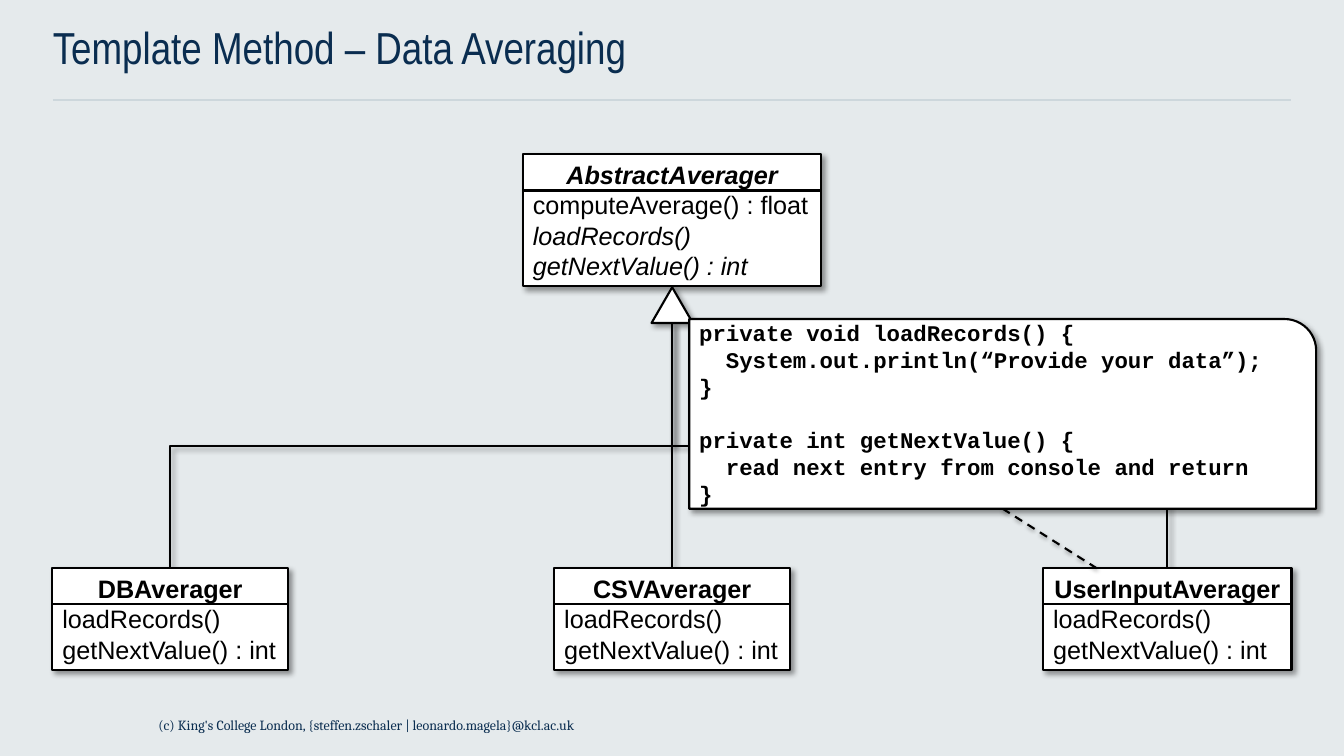
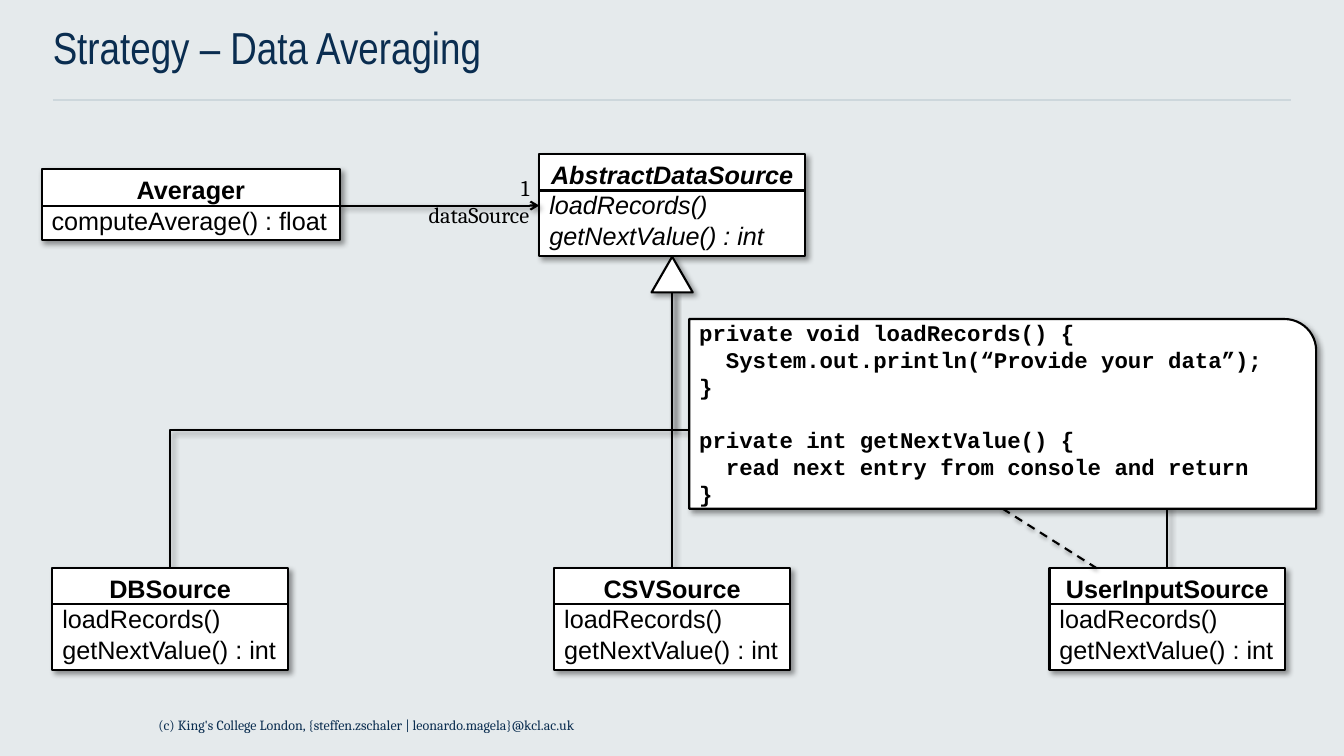
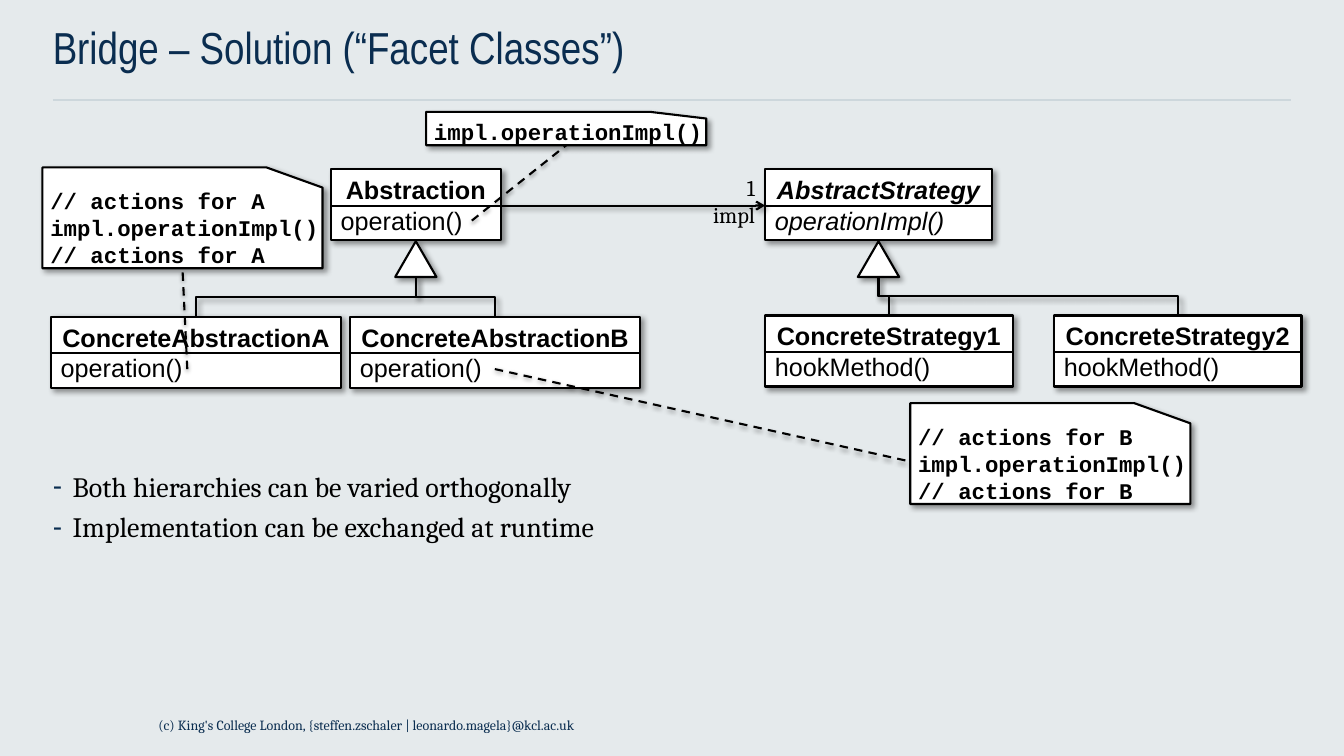
from copy import deepcopy
from dataclasses import dataclass

from lxml.etree import SubElement
from pptx import Presentation
from pptx.dml.color import RGBColor
from pptx.enum.dml import MSO_LINE
from pptx.enum.shapes import MSO_CONNECTOR, MSO_SHAPE, PP_PLACEHOLDER
from pptx.enum.text import MSO_ANCHOR, MSO_AUTO_SIZE, PP_ALIGN
from pptx.oxml.ns import qn
from pptx.util import Cm, Pt


@dataclass(frozen=True)
class Theme:
    background: str = "E5EAEC"
    rule: str = "CDD7DC"
    navy: str = "0A2D50"
    ink: str = "000000"
    paper: str = "FFFFFF"
    title_font: str = "Arial Narrow"
    body_font: str = "Cambria"
    class_font: str = "Arial"
    code_font: str = "Courier New"
    title_size: int = 32
    body_size: int = 20
    class_size: int = 18
    code_size: int = 16
    footer_size: int = 10
    outline: float = 1.5
    body_spacing: float = 1.2


@dataclass(frozen=True)
class Shadow:
    """Lengths in points, opacity in percent, direction in degrees."""
    opacity: int
    blur: float
    distance: float
    direction: int


THEME = Theme()
BOX_SHADOW = Shadow(40, 4, 3, 45)
NOTE_LINK_SHADOW = Shadow(38, 3.1, 1.6, 90)

# Diagram measures in centimetres
ROW_HEIGHT = 0.77
BOX_PADDING = 0.25
NAME_HEIGHT = 0.91
ARROW_WIDTH, ARROW_HEIGHT = 1.04, 0.9
SLIDE_CENTER = 16.94
BASE_TOP = 3.89
PEER_TOP = 4.27
SUBCLASS_TOP = 14.32
SUBCLASS_WIDTH = 5.94
SUBCLASS_CENTERS = (4.29, SLIDE_CENTER, 29.42)
CARD_WIDTH = 7.06

FOOTER = "(c) King's College London, {steffen.zschaler | leonardo.magela}@kcl.ac.uk"
HOOKS = ["loadRecords()", "getNextValue() : int"]
AVERAGE = "computeAverage() : float"
USER_INPUT_CODE = """private void loadRecords() {
  System.out.println(“Provide your data”);
}
private int getNextValue() {
  read next entry from console and return
}"""


def rgb(value):
    return RGBColor.from_string(value)


def place(shape, left, top, width, height):
    shape.left, shape.top = Cm(left), Cm(top)
    shape.width, shape.height = Cm(width), Cm(height)


def format_text(text_frame, font, size, color=THEME.ink, bold=False,
                align=PP_ALIGN.LEFT, spacing=1.0):
    for paragraph in text_frame.paragraphs:
        paragraph.alignment = align
        paragraph.line_spacing = spacing
        paragraph.space_before = Pt(0)
        for run in paragraph.runs:
            run.font.name = font
            run.font.size = Pt(size)
            run.font.bold = bold
            run.font.color.rgb = rgb(color)


def set_frame(text_frame, insets=(0, 0, 0, 0), wrap=True, auto_size=MSO_AUTO_SIZE.NONE):
    text_frame.margin_left, text_frame.margin_top = Cm(insets[0]), Cm(insets[1])
    text_frame.margin_right, text_frame.margin_bottom = Cm(insets[2]), Cm(insets[3])
    text_frame.vertical_anchor = MSO_ANCHOR.TOP
    text_frame.word_wrap = wrap
    text_frame.auto_size = auto_size


def set_shadow(shape, shadow=None):
    """Replace the theme's effects with the given shadow, or with none."""
    effects = SubElement(shape.element.spPr, qn("a:effectLst"))
    if shadow:
        outer = SubElement(effects, qn("a:outerShdw"), {
            "blurRad": str(Pt(shadow.blur)), "dist": str(Pt(shadow.distance)),
            "dir": str(shadow.direction * 60000), "algn": "tl", "rotWithShape": "0"})
        color = SubElement(outer, qn("a:srgbClr"), val=THEME.ink)
        SubElement(color, qn("a:alpha"), val=str(shadow.opacity * 1000))


def add_line(shapes, start, end, color=THEME.ink, width=THEME.outline, shadow=None,
             dashed=False, arrow=False, kind=MSO_CONNECTOR.STRAIGHT):
    line = shapes.add_connector(kind, *(Cm(value) for value in (*start, *end)))
    line.line.color.rgb = rgb(color)
    line.line.width = Pt(width)
    if dashed:
        line.line.dash_style = MSO_LINE.DASH
    if arrow:
        SubElement(line.element.spPr.find(qn("a:ln")), qn("a:tailEnd"), type="arrow")
    set_shadow(line, shadow)
    return line


def add_vertical_elbow(shapes, start, end):
    """Connect two points by going down, across and down again."""
    drop, reach = end[1] - start[1], end[0] - start[0]
    if reach == 0:
        add_line(shapes, start, end, shadow=BOX_SHADOW)
        return
    left = (start[0] + end[0] - drop) / 2
    top = (start[1] + end[1] - abs(reach)) / 2
    elbow = add_line(shapes, (left, top), (left + drop, top + abs(reach)),
                     shadow=BOX_SHADOW, kind=MSO_CONNECTOR.ELBOW)
    transform = elbow.element.spPr.find(qn("a:xfrm"))
    transform.set("rot", str((90 if reach < 0 else 270) * 60000))
    if reach > 0:
        transform.set("flipH", "1")


def add_paper_shape(shapes, kind, left, top, width, height):
    shape = shapes.add_shape(kind, Cm(left), Cm(top), Cm(width), Cm(height))
    shape.fill.solid()
    shape.fill.fore_color.rgb = rgb(THEME.paper)
    shape.line.color.rgb = rgb(THEME.ink)
    shape.line.width = Pt(THEME.outline)
    set_shadow(shape, BOX_SHADOW)
    return shape


def box_bottom(top, method_count):
    return top + BOX_PADDING + ROW_HEIGHT * (1 + method_count)


def add_class(slide, name, methods, center, top, width, abstract=False, concrete=()):
    """Draw a class; an abstract one is italic except for its concrete methods."""
    shapes = slide.shapes.add_group_shape().shapes
    left = center - width / 2
    height = box_bottom(top, len(methods)) - top
    box = add_paper_shape(shapes, MSO_SHAPE.RECTANGLE, left, top, width, height)
    text_frame = box.text_frame
    text_frame.text = "\n".join([name, *methods])
    set_frame(text_frame, (0.25, 0.13, 0.25, 0.13), False, MSO_AUTO_SIZE.SHAPE_TO_FIT_TEXT)
    format_text(text_frame, THEME.class_font, THEME.class_size)
    text_frame.paragraphs[0].alignment = PP_ALIGN.CENTER
    text_frame.paragraphs[0].runs[0].font.bold = True
    for paragraph in text_frame.paragraphs:
        paragraph.runs[0].font.italic = abstract and paragraph.text not in concrete
    divider = top + NAME_HEIGHT
    add_line(shapes, (left, divider), (left + width, divider))


def add_inheritance(slide, center, parent_bottom, child_centers, child_top):
    add_paper_shape(slide.shapes, MSO_SHAPE.ISOSCELES_TRIANGLE, center - ARROW_WIDTH / 2,
                    parent_bottom + 0.02, ARROW_WIDTH, ARROW_HEIGHT)
    start = (center, parent_bottom + 0.02 + ARROW_HEIGHT)
    for child_center in child_centers:
        add_vertical_elbow(slide.shapes, start, (child_center, child_top))


def add_association(slide, left, right, role):
    y = PEER_TOP + NAME_HEIGHT
    add_line(slide.shapes, (left, y), (right, y), shadow=BOX_SHADOW, arrow=True)
    label = slide.shapes.add_textbox(Cm(right - 3.36), Cm(y - 0.91), Cm(3.36), Cm(1.63))
    label.text_frame.text = f"1\n{role}"
    set_frame(label.text_frame, (0.25, 0.13, 0.25, 0.13))
    format_text(label.text_frame, THEME.body_font, THEME.code_size, align=PP_ALIGN.RIGHT)


def add_note_link(slide, start, end):
    add_line(slide.shapes, start, end, shadow=NOTE_LINK_SHADOW, dashed=True)


def fill_code(note, code, insets, wrap):
    note.text_frame.text = code
    set_frame(note.text_frame, insets, wrap)
    format_text(note.text_frame, THEME.code_font, THEME.code_size, bold=True)


def add_code_card(slide, code, left, top, height):
    card = add_paper_shape(slide.shapes, MSO_SHAPE.FLOWCHART_CARD,
                           left, top, CARD_WIDTH, height)
    card.element.spPr.find(qn("a:xfrm")).set("flipH", "1")
    fill_code(card, code, (0.2, 0, 0, 0), False)


def add_user_input_note(slide):
    add_note_link(slide, (27.64, SUBCLASS_TOP), (25.27, 12.82))
    note = add_paper_shape(slide.shapes, MSO_SHAPE.ROUND_1_RECTANGLE, 17.37, 8.04, 15.8, 4.78)
    fill_code(note, USER_INPUT_CODE, (0.25, 0, 0.25, 0), True)
    note.text_frame.paragraphs[3].space_before = Pt(19)


def add_footer(slide):
    source = next(shape for shape in slide.slide_layout.placeholders
                  if shape.placeholder_format.type == PP_PLACEHOLDER.FOOTER)
    slide.shapes.element.append(deepcopy(source.element))
    footer = slide.placeholders[source.placeholder_format.idx]
    place(footer, 3.99, 18.06, 25.86, 0.99)
    footer.text_frame.text = FOOTER
    set_frame(footer.text_frame)
    format_text(footer.text_frame, THEME.body_font, THEME.footer_size, THEME.navy)


def add_slide(presentation, title, layout_name="Title Only"):
    layout = presentation.slide_layouts.get_by_name(layout_name)
    slide = presentation.slides.add_slide(layout)
    heading = slide.shapes.title
    place(heading, 1.33, 0.49, 31.2, 2)
    heading.text_frame.text = title
    set_frame(heading.text_frame)
    format_text(heading.text_frame, THEME.title_font, THEME.title_size, THEME.navy)
    add_footer(slide)
    return slide


def style_master(presentation, slide):
    """Set the background and move the title rule from the slide to the master."""
    master = presentation.slide_master
    master.background.fill.solid()
    master.background.fill.fore_color.rgb = rgb(THEME.background)
    rule = add_line(slide.shapes, (1.33, 2.52), (32.54, 2.52), THEME.rule, 1)
    master.shapes.element.append(rule.element)


def fill_bullets(body, items):
    place(body, 1.33, 11.66, 31.2, 4.85)
    body.text_frame.text = "\n".join(items)
    set_frame(body.text_frame)
    for paragraph in body.text_frame.paragraphs:
        paragraph.level = 1
    for properties in body.element.iter(qn("a:pPr")):
        properties.set("marL", str(Cm(0.5)))
        properties.set("indent", str(Cm(-0.5)))
        color = SubElement(properties, qn("a:buClr"))
        SubElement(color, qn("a:srgbClr"), val=THEME.navy)
        SubElement(properties, qn("a:buChar"), char="-")
    format_text(body.text_frame, THEME.body_font, THEME.body_size,
                spacing=THEME.body_spacing)


def add_averaging_hierarchy(slide, base, methods, base_width, kind, user_input_width):
    add_class(slide, base, methods, SLIDE_CENTER, BASE_TOP, base_width,
              abstract=True, concrete=(AVERAGE,))
    add_inheritance(slide, SLIDE_CENTER, box_bottom(BASE_TOP, len(methods)),
                    SUBCLASS_CENTERS, SUBCLASS_TOP)
    widths = (SUBCLASS_WIDTH, SUBCLASS_WIDTH, user_input_width)
    for origin, center, width in zip(("DB", "CSV", "UserInput"), SUBCLASS_CENTERS, widths):
        add_class(slide, origin + kind, HOOKS, center, SUBCLASS_TOP, width)


def build_template_method(presentation):
    slide = add_slide(presentation, "Template Method – Data Averaging")
    style_master(presentation, slide)
    add_averaging_hierarchy(slide, "AbstractAverager", [AVERAGE, *HOOKS], 7.52,
                            "Averager", 6.26)
    add_user_input_note(slide)


def build_strategy(presentation):
    slide = add_slide(presentation, "Strategy – Data Averaging")
    add_averaging_hierarchy(slide, "AbstractDataSource", HOOKS, 6.69,
                            "Source", SUBCLASS_WIDTH)
    add_class(slide, "Averager", [AVERAGE], 4.81, PEER_TOP, 7.52)
    add_association(slide, 8.57, 13.59, "dataSource")
    add_user_input_note(slide)


def build_bridge(presentation):
    slide = add_slide(presentation, "Bridge – Solution (“Facet Classes”)", "Title and Content")
    fill_bullets(slide.placeholders[1], ["Both hierarchies can be varied orthogonally",
                                         "Implementation can be exchanged at runtime"])
    abstraction, strategy = 10.48, 22.14
    add_class(slide, "Abstraction", ["operation()"], abstraction, PEER_TOP, 4.29)
    add_class(slide, "AbstractStrategy", ["operationImpl()"], strategy, PEER_TOP, 5.72,
              abstract=True)
    add_association(slide, 12.62, 19.28, "impl")

    families = [
        (abstraction, "ConcreteAbstraction", "operation()", 7.98, 7.32,
         {"A": 4.94, "B": 12.48}),
        (strategy, "ConcreteStrategy", "hookMethod()", 7.95, 6.24,
         {"1": 22.4, "2": 29.68}),
    ]
    for parent, name, method, top, width, children in families:
        add_inheritance(slide, parent, box_bottom(PEER_TOP, 1), children.values(), top)
        for suffix, center in children.items():
            add_class(slide, name + suffix, [method], center, top, width)

    call = "impl.operationImpl()"
    add_code_card(slide, call, 10.74, 2.82, 0.84)
    for variant, left, top in (("A", 1.07, 4.22), ("B", 22.94, 10.16)):
        action = f"// actions for {variant}"
        add_code_card(slide, "\n".join([action, call, action]), left, top, 2.54)
    add_note_link(slide, (11.89, 5.56), (14.27, 3.66))
    add_note_link(slide, (4.72, 9.3), (4.6, 6.78))
    add_note_link(slide, (12.47, 9.3), (22.94, 11.63))


def main():
    presentation = Presentation()
    presentation.slide_width, presentation.slide_height = Cm(33.87), Cm(19.05)
    build_template_method(presentation)
    build_strategy(presentation)
    build_bridge(presentation)
    presentation.save("out.pptx")


if __name__ == "__main__":
    main()
